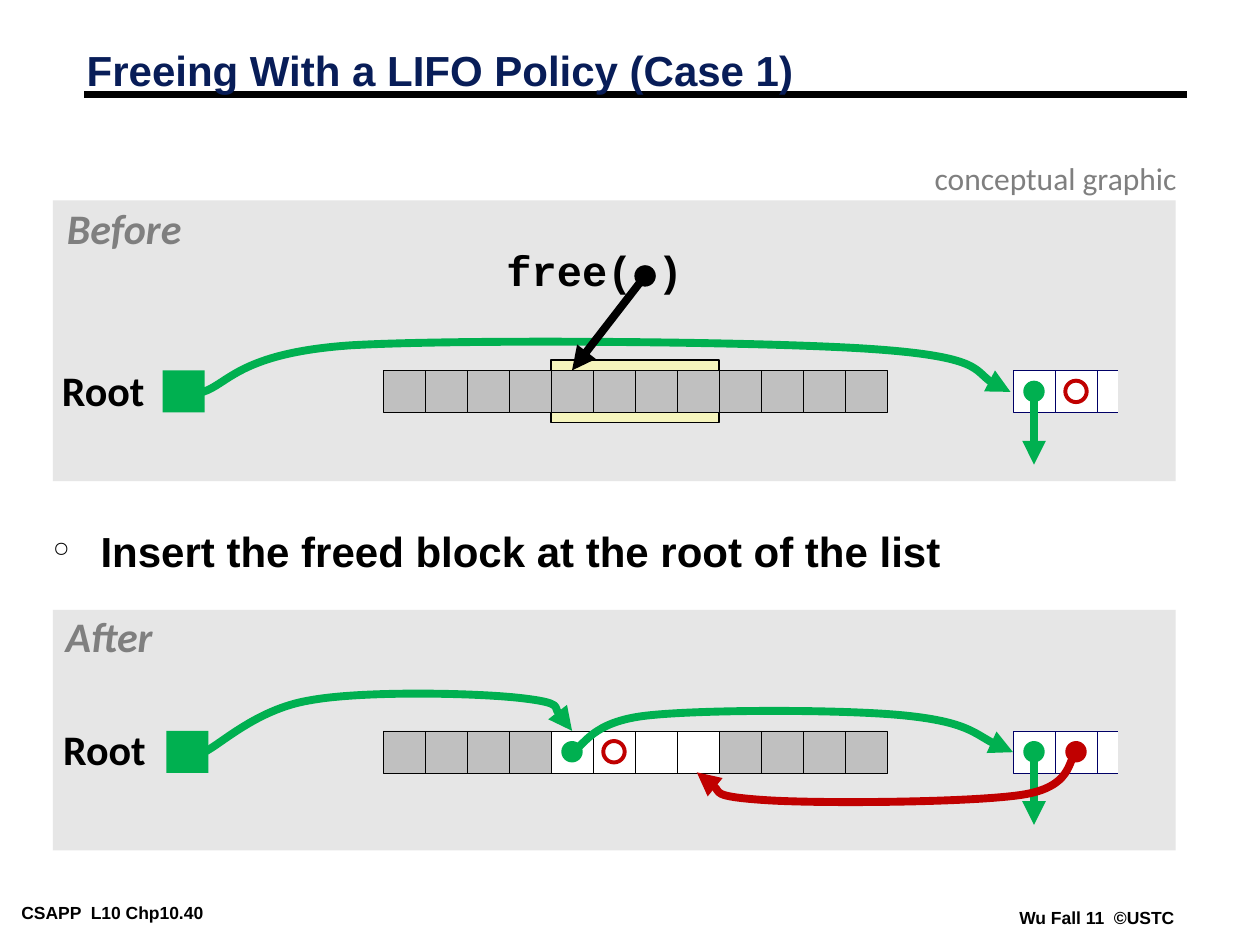
from pptx import Presentation, util as u
from pptx.dml.color import RGBColor
from pptx.enum import shapes, text
from pptx.oxml.ns import qn
from lxml import etree

GREEN, RED, BLACK, WHITE = "00B050", "C00000", "000000", "FFFFFF"
GRAY, PANEL, MUTED, NAVY = "C0C0C0", "E6E6E6", "7F7F7F", "000066"
CELL, DOT = 1 / 3, 0.17
HEAP, NODE, COUNT, FREED = 3.04, 8.04, 12, range(4, 8)
GRAIN = 1000

ROWS = [
    dict(name="Before", label=(0.48, 1.6, 1.01), panel=(1.59, 2.23),
         top=2.94, root=(0.44, 2.89, 1.29), freed=GRAY),
    dict(name="After", label=(0.42, 4.84, 0.89), panel=(4.84, 1.91),
         top=5.8, root=(0.45, 5.74, 1.32), freed=WHITE),
]
CURVES = {
    "old": (GREEN, [(1.61, 3.11), (1.81, 3.05), (1.9, 2.8), (2.79, 2.74),
                    (3.67, 2.69), (6.05, 2.71), (6.92, 2.77),
                    (7.79, 2.83), (7.79, 3.04), (8.02, 3.11)]),
    "next": (GREEN, [(4.54, 5.97), (4.64, 5.92), (4.69, 5.73), (5.13, 5.68),
                     (5.57, 5.63), (6.71, 5.63), (7.19, 5.68),
                     (7.67, 5.73), (7.86, 5.91), (8.04, 5.97)]),
    "prev": (RED, [(8.54, 5.98), (8.47, 6.03), (8.52, 6.25), (8.1, 6.31),
                   (7.69, 6.37), (6.49, 6.38), (6.06, 6.35),
                   (5.63, 6.32), (5.64, 6.18), (5.53, 6.13)]),
    "root": (GREEN, [(1.62, 5.97), (1.76, 5.9), (2.04, 5.63), (2.45, 5.56),
                     (2.87, 5.48), (3.78, 5.5), (4.13, 5.54),
                     (4.48, 5.58), (4.46, 5.74), (4.54, 5.8)]),
}
TIGHT = dict(pad=(0.05, 0.05), align=text.PP_ALIGN.CENTER, space=0.9)
FOOT = dict(size=10, bold=True, pad=(0.07, 0.03))

deck = Presentation()
deck.slide_width, deck.slide_height = u.Inches(10), u.Inches(7.5)
slide = deck.slides.add_slide(deck.slide_layouts[6])
tree = slide.shapes


def rgb(code):
    return RGBColor.from_string(code)


def inch(*vals):
    return [u.Inches(v) for v in vals]


def paint(item, fill=None, line=None, width=0.25):
    item.shadow.inherit = False
    if fill:
        item.fill.solid()
        item.fill.fore_color.rgb = rgb(fill)
    else:
        item.fill.background()
    if line:
        item.line.color.rgb = rgb(line)
        item.line.width = u.Pt(width)
    else:
        item.line.fill.background()
    return item


def rect(x, y, w, h, *look):
    kind = shapes.MSO_SHAPE.RECTANGLE
    return paint(tree.add_shape(kind, *inch(x, y, w, h)), *look)


def dot(x, y, *look):
    kind = shapes.MSO_SHAPE.OVAL
    box = inch(x - DOT / 2, y - DOT / 2, DOT, DOT)
    return paint(tree.add_shape(kind, *box), *look)


def ring(x, y):
    dot(x, y, None, RED, 2.25)


def head(item):
    etree.SubElement(item.line._get_or_add_ln(), qn("a:tailEnd"), type="triangle")


def link(x, y, to_x, to_y, color, arrow=True):
    item = tree.add_connector(shapes.MSO_CONNECTOR.STRAIGHT, *inch(x, y, to_x, to_y))
    item.line.color.rgb = rgb(color)
    item.line.width = u.Pt(4.5)
    if arrow:
        head(item)
    etree.SubElement(item._element.spPr, qn("a:effectLst"))
    return item


def curve(name):
    color, pts = CURVES[name]
    pts = [(round(x * GRAIN), round(y * GRAIN)) for x, y in pts]
    pen = tree.build_freeform(*pts[0], scale=u.Inches(1) / GRAIN)
    pen.add_line_segments(pts[1:], close=False)
    item = paint(pen.convert_to_shape(), None, color, 4.5)
    legs = list(item._element.iter(qn("a:lnTo")))
    for i in range(0, len(legs), 3):
        bend = etree.Element(qn("a:cubicBezTo"))
        legs[i].addprevious(bend)
        for leg in legs[i:i + 3]:
            bend.append(leg[0])
            leg.getparent().remove(leg)
    head(item)


def write(words, x, y, w, h, size=24, face="Arial", color=BLACK, bold=False,
          italic=False, pad=(0.1, 0.05), align=None, space=None, wrap=False,
          anchor=text.MSO_ANCHOR.TOP, bullet=None):
    frame = tree.add_textbox(*inch(x, y, w, h)).text_frame
    side, edge = inch(*pad)
    look = dict(margin_left=side, margin_right=side, margin_top=edge,
                margin_bottom=edge, word_wrap=wrap, vertical_anchor=anchor)
    if not wrap:
        look["auto_size"] = text.MSO_AUTO_SIZE.SHAPE_TO_FIT_TEXT
    for key, val in look.items():
        setattr(frame, key, val)
    para = frame.paragraphs[0]
    para.text = words
    para.alignment, para.line_spacing = align, space
    if bullet:
        prop = para._p.get_or_add_pPr()
        gap = u.Inches(0.38)
        prop.set("marL", str(gap))
        prop.set("indent", str(-gap))
        etree.SubElement(prop, qn("a:buChar"), char=bullet)
    font = para.runs[0].font
    look = dict(size=u.Pt(size), name=face, bold=bold, italic=italic)
    for key, val in look.items():
        setattr(font, key, val)
    font.color.rgb = rgb(color)


def draw(row):
    top, mid = row["top"], row["top"] + CELL / 2
    x, y, w = row["label"]
    write(row["name"], x, y, w, 0.46, face="Calibri", color=MUTED,
          bold=True, italic=True, **TIGHT)
    x, y, box = row["root"]
    write("Root", x, y, 0.76, 0.46, face="Calibri", bold=True, **TIGHT)
    rect(box, top, CELL, CELL, GREEN)
    cells = [rect(HEAP + i * CELL, top, CELL, CELL,
                  row["freed"] if i in FREED else GRAY, BLACK)
             for i in range(COUNT)]
    for i in range(3):
        rect(NODE + i * CELL, top, CELL, CELL, WHITE, NAVY)
    rect(NODE + 2.5 * CELL, top - CELL / 4, CELL, 1.5 * CELL, PANEL)
    hub = NODE + CELL / 2
    dot(hub, mid, GREEN)
    link(hub, mid, hub, mid + 0.58, GREEN)
    return cells, hub, mid


write("CSAPP  L10 Chp10.40", 0.1, 7.13, 2.1, 0.22, **FOOT)
write("Wu Fall 11  ©USTC", 8.02, 7.17, 1.38, 0.22, **FOOT)
link(0.67, 0.75, 9.42, 0.75, BLACK, arrow=False)
write("Freeing With a LIFO Policy (Case 1)", 0.59, 0.36, 9.53, 0.45,
      color="081D58", bold=True, space=0.87, wrap=True,
      anchor=text.MSO_ANCHOR.MIDDLE)
write("Insert the freed block at the root of the list", 0.32, 4.15, 9.09, 0.61,
      bold=True, space=0.95, wrap=True, bullet="°")
write("conceptual graphic", 7.32, 1.21, 2.13, 0.4, 18, "Calibri", MUTED)

for row in ROWS:
    y, h = row["panel"]
    rect(0.42, y, 8.91, h, PANEL)
before, after = ROWS

rect(HEAP + FREED[0] * CELL, before["top"] - CELL / 4, len(FREED) * CELL,
     1.5 * CELL, "F6F5BD", BLACK, 0.75)
curve("old")
cells, hub, mid = draw(before)
ring(hub + CELL, mid)
write("free( )", 3.97, 1.94, 1.5, 0.46, face="Courier New", bold=True, **TIGHT)
dot(5.12, 2.19, BLACK)
link(5.12, 2.19, 4.54, 2.94, BLACK).end_connect(cells[FREED[0]], 0)

cells, hub, mid = draw(after)
first = HEAP + (FREED[0] + 0.5) * CELL
dot(first, mid, GREEN)
ring(first + CELL, mid)
dot(hub + CELL, mid, RED)
for name in ("next", "prev", "root"):
    curve(name)

deck.save("out.pptx")
